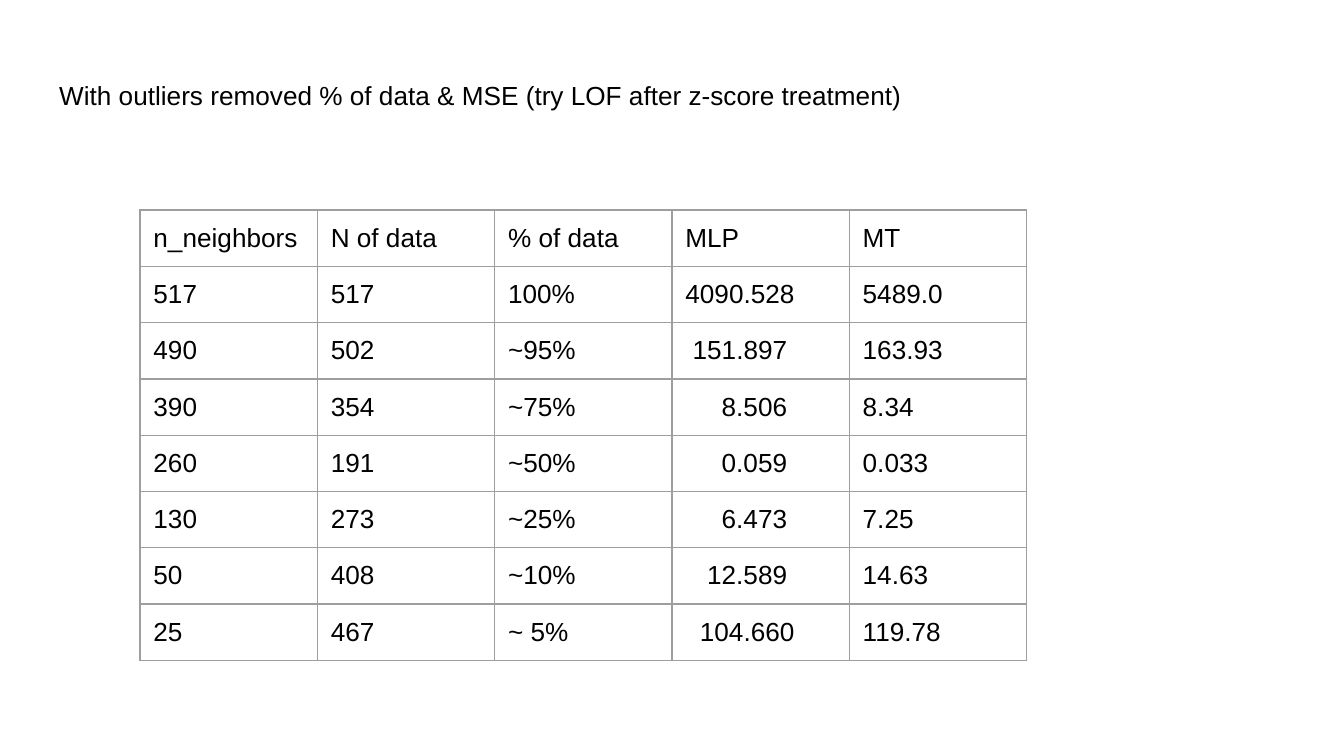
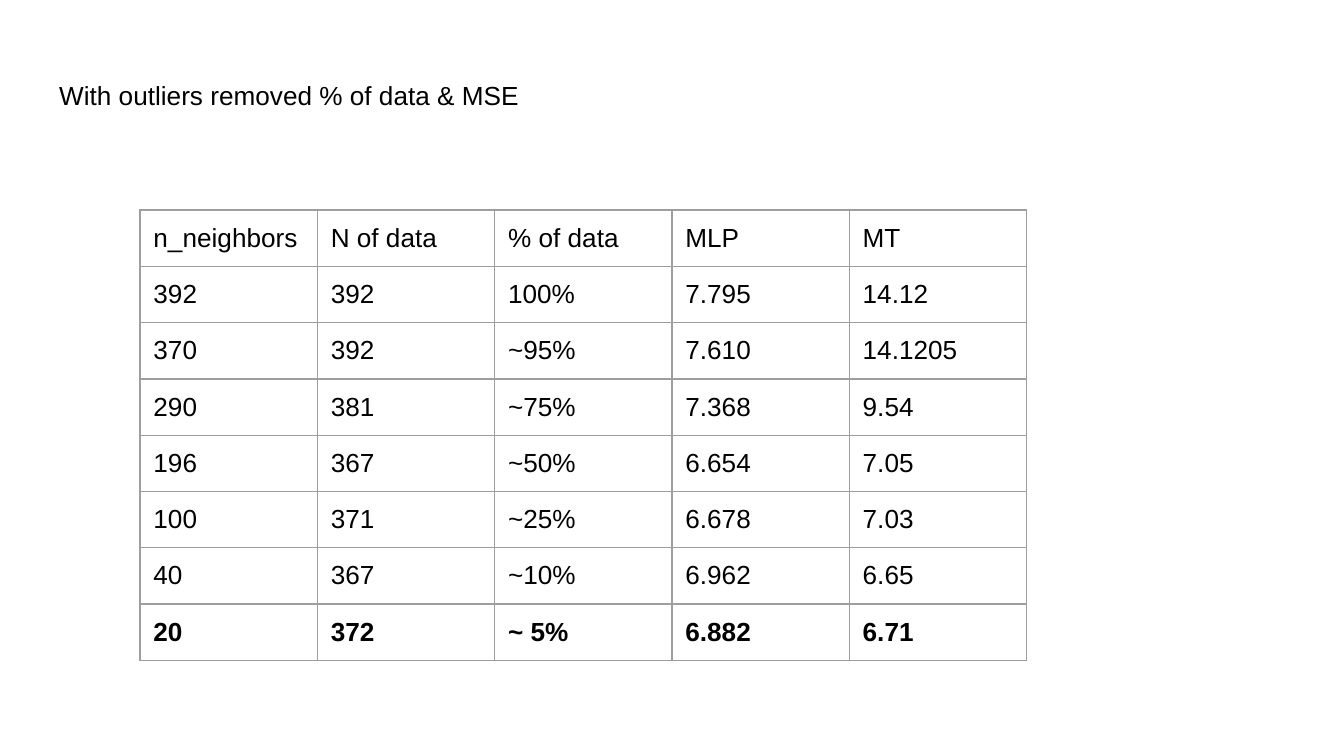
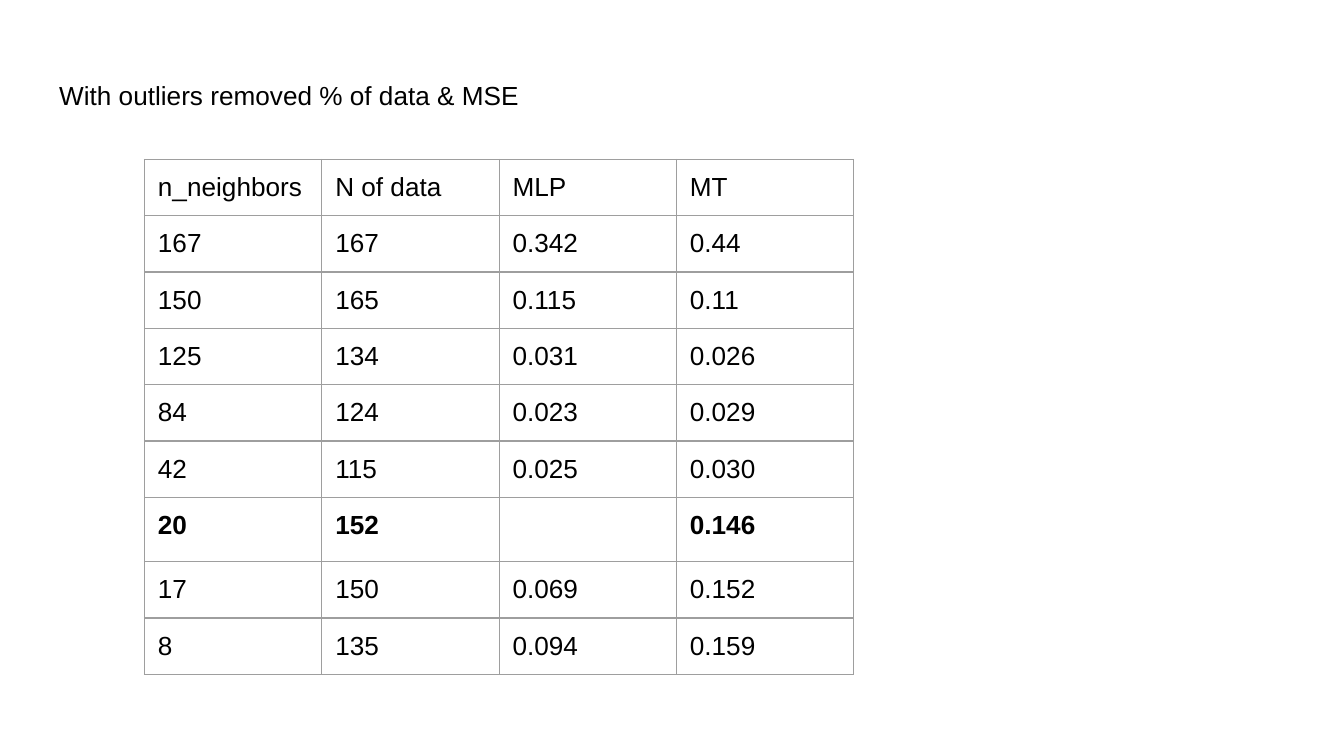
"""Build three slides of outlier-removal results, each a title over a bordered table."""
from dataclasses import dataclass

from lxml import etree
from pptx import Presentation
from pptx import util as u
from pptx.dml import color
from pptx.enum import text
from pptx.oxml import ns


@dataclass(frozen=True)
class Theme:
    font: str = "Arial"
    size: float = 14
    ink: str = "000000"
    rule: str = "9E9E9E"
    line: float = 0.75
    inset: float = 7.2
    space: float = 3.89
    col: float = 95
    row: float = 30
    tall: float = 34.5


look = Theme()


def write(frame, words, bold=False, size=look.size, ink=look.ink):
    para = frame.paragraphs[0]
    para.alignment = text.PP_ALIGN.LEFT
    run = para.add_run()
    run.text = words
    run.font.name = look.font
    run.font.size = u.Pt(size)
    run.font.bold = bold
    run.font.color.rgb = color.RGBColor.from_string(ink)


def border(cell):
    props = cell._tc.get_or_add_tcPr()
    for side in ("a:lnL", "a:lnR", "a:lnT", "a:lnB"):
        line = etree.SubElement(props, ns.qn(side), w=str(u.Pt(look.line)))
        fill = etree.SubElement(line, ns.qn("a:solidFill"))
        etree.SubElement(fill, ns.qn("a:srgbClr"), val=look.rule)


head = "With outliers removed % of data & MSE"
wide = ("n_neighbors", "N of data", "% of data", "MLP", "MT")
slim = ("n_neighbors", "N of data", "MLP", "MT")

pages = [
    dict(
        title=head + " (try LOF after z-score treatment)",
        left=75, top=112.5, strong=None,
        shift={2: 1, 3: 5, 4: 5, 5: 5, 6: 3, 7: 2},
        rows=[
            wide,
            ("517", "517", "100%", "4090.528", "5489.0"),
            ("490", "502", "~95%", "151.897", "163.93"),
            ("390", "354", "~75%", "8.506", "8.34"),
            ("260", "191", "~50%", "0.059", "0.033"),
            ("130", "273", "~25%", "6.473", "7.25"),
            ("50", "408", "~10%", "12.589", "14.63"),
            ("25", "467", "~ 5%", "104.660", "119.78"),
        ],
    ),
    dict(
        title=head, left=75, top=112.5, strong=7, shift={},
        rows=[
            wide,
            ("392", "392", "100%", "7.795", "14.12"),
            ("370", "392", "~95%", "7.610", "14.1205"),
            ("290", "381", "~75%", "7.368", "9.54"),
            ("196", "367", "~50%", "6.654", "7.05"),
            ("100", "371", "~25%", "6.678", "7.03"),
            ("40", "367", "~10%", "6.962", "6.65"),
            ("20", "372", "~ 5%", "6.882", "6.71"),
        ],
    ),
    dict(
        title=head, left=77.4, top=85.4, strong=6, shift={},
        rows=[
            slim,
            ("167", "167", "0.342", "0.44"),
            ("150", "165", "0.115", "0.11"),
            ("125", "134", "0.031", "0.026"),
            ("84", "124", "0.023", "0.029"),
            ("42", "115", "0.025", "0.030"),
            ("20", "152", "", "0.146"),
            ("17", "150", "0.069", "0.152"),
            ("8", "135", "0.094", "0.159"),
        ],
    ),
]

deck = Presentation()
deck.slide_width, deck.slide_height = u.Pt(720), u.Pt(405)
plain = deck.slide_layouts.get_by_name("Title Only")

for page in pages:
    slide = deck.slides.add_slide(plain)
    title = slide.shapes.title
    title.left, title.top = u.Pt(24.5), u.Pt(35.3)
    title.width, title.height = u.Pt(671), u.Pt(45)
    frame = title.text_frame
    frame.margin_left = frame.margin_right = u.Pt(look.inset)
    frame.margin_top = frame.margin_bottom = u.Pt(look.inset)
    frame.vertical_anchor = text.MSO_ANCHOR.TOP
    frame.auto_size = text.MSO_AUTO_SIZE.NONE
    frame.word_wrap = True
    write(frame, page["title"])

    rows = page["rows"]
    count, span = len(rows), len(rows[0])
    table = slide.shapes.add_table(
        count, span, u.Pt(page["left"]), u.Pt(page["top"]),
        u.Pt(look.col * span), u.Pt(look.row * count)).table
    table.first_row = table.horz_banding = False
    for col in table.columns:
        col.width = u.Pt(look.col)

    for r, row in enumerate(rows):
        table.rows[r].height = u.Pt(look.row if all(row) else look.tall)
        for c, words in enumerate(row):
            cell = table.cell(r, c)
            shift = page["shift"].get(r, 0) if rows[0][c] == "MLP" else 0
            cell.margin_left = u.Pt(look.inset + look.space * shift)
            cell.margin_right = u.Pt(look.inset)
            cell.margin_top = cell.margin_bottom = u.Pt(look.inset)
            border(cell)
            cell.fill.background()
            write(cell.text_frame, words, bold=r == page["strong"])

deck.save("out.pptx")
